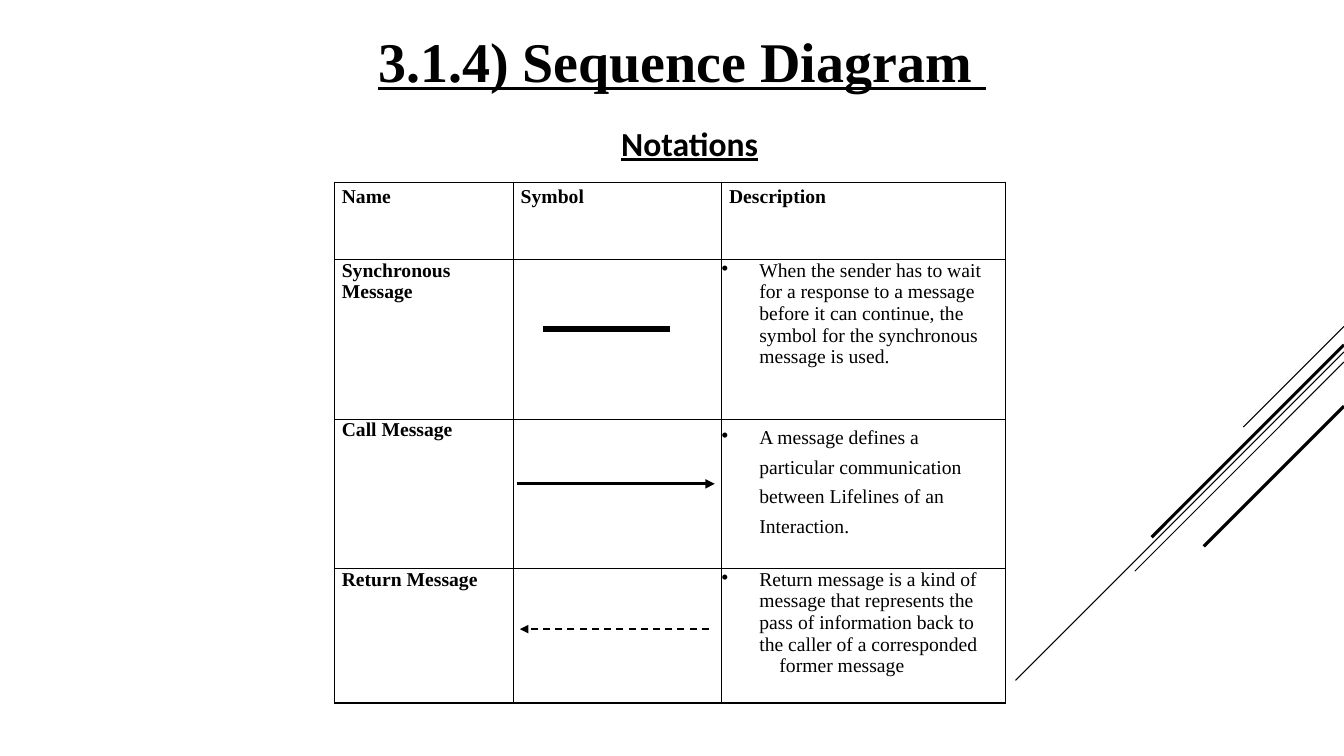
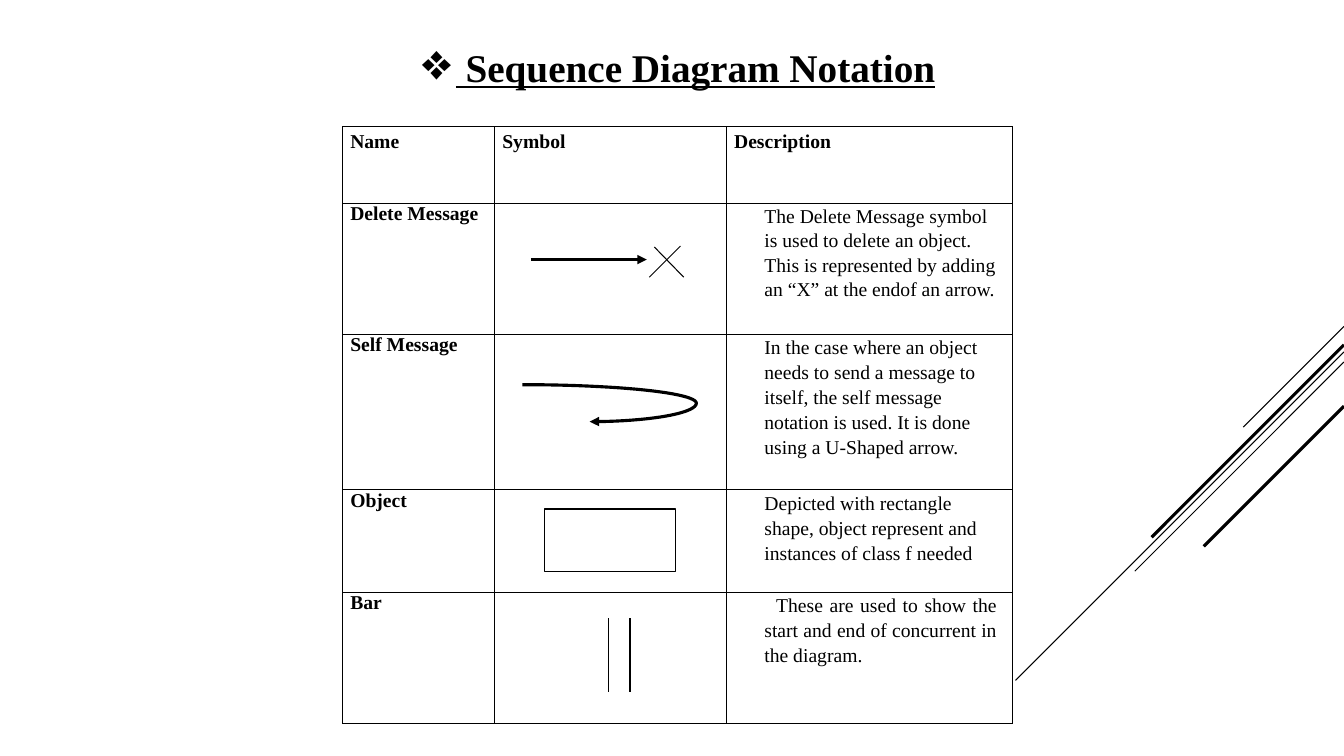
from math import cos, pi, sin
from typing import NamedTuple

from lxml import etree
from pptx import Presentation
from pptx.dml.color import RGBColor
from pptx.enum.dml import MSO_LINE
from pptx.enum.shapes import MSO_CONNECTOR, MSO_SHAPE
from pptx.enum.text import MSO_ANCHOR, MSO_AUTO_SIZE, PP_ALIGN
from pptx.oxml.ns import qn
from pptx.util import Emu, Inches, Pt

STRAIGHT = MSO_CONNECTOR.STRAIGHT
RECTANGLE = MSO_SHAPE.RECTANGLE
DASH = MSO_LINE.DASH
MIDDLE = MSO_ANCHOR.MIDDLE
NO_FIT = MSO_AUTO_SIZE.NONE
CENTER = PP_ALIGN.CENTER
JUSTIFY = PP_ALIGN.JUSTIFY

COLUMNS = 160
SERIF = "Times New Roman"
SANS = "Calibri"
INK = "000000"
HEADERS = ("Name", "Symbol", "Description")


class Passage(NamedTuple):
    """One paragraph of a description cell, with indents in grid columns."""

    text: str
    spacing: object = None
    bullet: str = ""
    left: float = 4.5
    first: float = 0
    align: object = None


def color(value):
    """Turn a hex string into a colour."""
    return RGBColor.from_string(value)


class Deck:
    """Holds the style, the grid and the current slide."""

    def __init__(self):
        """Start a wide presentation with a square-celled grid."""
        self.presentation = Presentation()
        self.presentation.slide_width = Inches(40 / 3)
        self.presentation.slide_height = Inches(7.5)
        self.cell_size = self.presentation.slide_width / COLUMNS
        self.layout = self.presentation.slide_layouts[5]
        self.slide = None

    def grid(self, *lengths):
        """Turn grid units into slide lengths."""
        return [Emu(round(length * self.cell_size)) for length in lengths]

    def add_slide(self):
        """Open a new slide."""
        self.slide = self.presentation.slides.add_slide(self.layout)

    def decorate_layout(self, diagonals):
        """Put diagonal lines from the right edge on the shared layout."""
        for top, reach, width in diagonals:
            connector = self.line((COLUMNS, top), (COLUMNS - reach, top + reach), width)
            self.layout.shapes.element.append(connector.element)

    def format_runs(self, paragraph, size, bold=False, underline=False, font=SERIF):
        """Apply one character style to a paragraph."""
        for run in paragraph.runs:
            run.font.name = font
            run.font.size = Pt(size)
            run.font.bold = bold
            run.font.underline = underline
            run.font.color.rgb = color(INK)

    def indent(self, paragraph, left, first, bullet="", percent=100):
        """Set the indents and the optional bullet of a paragraph."""
        properties = paragraph._p.get_or_add_pPr()
        margin, offset = self.grid(left, first)
        properties.set("marL", str(margin))
        properties.set("indent", str(offset))
        if bullet:
            etree.SubElement(properties, qn("a:buSzPct"), val=str(percent * 1000))
            etree.SubElement(properties, qn("a:buChar"), char=bullet)

    def title(self, text, box, size, bullet=""):
        """Fill the title placeholder."""
        shape = self.slide.shapes.title
        shape.left, shape.top, shape.width, shape.height = self.grid(*box)
        frame = shape.text_frame
        frame.text = text
        frame.word_wrap = True
        frame.auto_size = NO_FIT
        frame.vertical_anchor = MIDDLE
        paragraph = frame.paragraphs[0]
        paragraph.alignment = CENTER
        if bullet:
            self.indent(paragraph, 4, -4, bullet, 130)
        self.format_runs(paragraph, size, True, True)

    def subtitle(self, text, box):
        """Add a centred heading below the title."""
        frame = self.slide.shapes.add_textbox(*self.grid(*box)).text_frame
        frame.word_wrap = True
        frame.text = text
        frame.paragraphs[0].alignment = CENTER
        self.format_runs(frame.paragraphs[0], 24, True, True, SANS)

    def border(self, cell):
        """Draw all four borders of a table cell."""
        properties = cell._tc.get_or_add_tcPr()
        for index, side in enumerate(("lnL", "lnR", "lnT", "lnB")):
            edge = etree.Element(qn(f"a:{side}"), w=str(Pt(1)))
            fill = etree.SubElement(edge, qn("a:solidFill"))
            etree.SubElement(fill, qn("a:srgbClr"), val=INK)
            properties.insert(index, edge)

    def label(self, cell, text, spacing=None):
        """Write a bold label in a table cell."""
        cell.margin_left = self.grid(0.9)[0]
        cell.text_frame.text = text
        paragraph = cell.text_frame.paragraphs[0]
        paragraph.line_spacing = spacing
        self.format_runs(paragraph, 14, True)

    def description(self, cell, passages):
        """Write indented passages in a table cell."""
        cell.margin_right = self.grid(1.8)[0]
        frame = cell.text_frame
        frame.text = "\n".join(passage.text for passage in passages)
        for paragraph, passage in zip(frame.paragraphs, passages):
            paragraph.line_spacing = passage.spacing
            paragraph.alignment = passage.align
            self.indent(paragraph, passage.left, passage.first, passage.bullet)
            self.format_runs(paragraph, 14)

    def notation_table(self, corner, widths, heights, rows):
        """Add a table of names, empty symbol cells and descriptions."""
        box = self.grid(*corner, sum(widths), sum(heights))
        table = self.slide.shapes.add_table(len(heights), len(widths), *box).table
        table.first_row = table.horz_banding = False
        for column, width in zip(table.columns, self.grid(*widths)):
            column.width = width
        for row, height in zip(table.rows, self.grid(*heights)):
            row.height = height
        for cell in table.iter_cells():
            cell.margin_left = cell.margin_right = 0
            cell.margin_top = cell.margin_bottom = 0
            cell.fill.background()
            self.border(cell)
        for index, header in enumerate(HEADERS):
            self.label(table.cell(0, index), header, Pt(18.2))
        for index, (name, *passages) in enumerate(rows, 1):
            self.label(table.cell(index, 0), name)
            self.description(table.cell(index, 2), passages)

    def stroke(self, shape, width, head=""):
        """Style an outline, with an arrowhead of the given size if any."""
        shape.line.color.rgb = color(INK)
        shape.line.width = Pt(width)
        if head:
            outline = shape.element.spPr.find(qn("a:ln"))
            etree.SubElement(outline, qn("a:tailEnd"), type="triangle", w=head, len=head)

    def line(self, start, end, width=0.75, head="", dash=None):
        """Add a straight line or arrow."""
        connector = self.slide.shapes.add_connector(STRAIGHT, *self.grid(*start, *end))
        if dash:
            connector.line.dash_style = dash
        self.stroke(connector, width, head)
        etree.SubElement(connector.element.spPr, qn("a:effectLst"))
        return connector

    def outline_box(self, box):
        """Add an unfilled rectangle."""
        shape = self.slide.shapes.add_shape(RECTANGLE, *self.grid(*box))
        shape.shadow.inherit = False
        shape.fill.background()
        self.stroke(shape, 0.75)

    def u_arrow(self, start, end, right, steps=24):
        """Add an arrow that turns back along two quarter ellipses."""
        middle = (start[1] + end[1]) / 2
        radius = (end[1] - start[1]) / 2
        points = []
        for step in range(2 * steps + 1):
            angle = pi / 2 * (step / steps - 1)
            origin = start[0] if step <= steps else end[0]
            x = origin + (right - origin) * cos(angle)
            points.append(self.grid(x, middle + radius * sin(angle)))
        builder = self.slide.shapes.build_freeform(*points[0])
        builder.add_line_segments(points[1:], close=False)
        shape = builder.convert_to_shape()
        shape.shadow.inherit = False
        shape.fill.background()
        self.stroke(shape, 2.25, "med")


def message_slide(deck):
    """Build the slide of basic message notations."""
    deck.add_slide()
    deck.decorate_layout([
        (38.85, 12, 0.75), (41.9, 39.1, 0.75), (43.1, 24.9, 0.75),
        (41.05, 22.9, 2.25), (48.35, 16.7, 2.25),
    ])
    deck.title("3.1.4) Sequence Diagram ", (20, 2.5, 122.4, 9.2), 40)
    deck.subtitle("Notations", (67.1, 14, 30, 6))
    bulleted = {"bullet": "•", "first": -4.5}
    deck.notation_table((39.8, 21.7), (21.3, 24.8, 33.8), (9.2, 19, 17.8, 16), [
        ("Synchronous Message", Passage(
            "When the sender has to wait for a response to a message before it can "
            "continue, the symbol for the synchronous message is used.", **bulleted)),
        ("Call Message", Passage(
            "A message defines a particular communication between Lifelines of an "
            "Interaction.", 1.37, **bulleted)),
        ("Return Message", Passage(
            "Return message is a kind of message that represents the pass of "
            "information back to the caller of a corresponded", **bulleted),
         Passage("former message", Pt(15.6), left=6.9)),
    ])
    deck.line((64.7, 39.2), (79.8, 39.2), 4.5)
    deck.line((61.5, 57.6), (85.1, 57.6), 2.25, "med")
    deck.line((84.4, 74.9), (61.9, 74.9), 1.25, "med", DASH)


def notation_slide(deck):
    """Build the slide of further notations."""
    deck.add_slide()
    deck.title(" Sequence Diagram Notation", (30.7, 4.6, 100.2, 6.8), 28, "❖")
    deck.notation_table((40.8, 15.1), (18.1, 27.6, 34), (9.1, 15.6, 18.5, 12.2, 15.6), [
        ("Delete Message", Passage(
            "The Delete Message symbol is used to delete an object. This is represented "
            "by adding an “X” at the endof an arrow.", 1.13)),
        ("Self Message", Passage(
            "In the case where an object needs to send a message to itself, the self "
            "message notation is used. It is done using a U-Shaped arrow.", 1.15)),
        ("Object", Passage(
            "Depicted with rectangle shape, object represent and instances of class f "
            "needed", 1.15)),
        ("Bar", Passage(
            "These are used to show the start and end of concurrent in the diagram.",
            1.15, first=1.4, align=JUSTIFY)),
    ])
    deck.line((63.2, 30.9), (77, 30.9), 2.25, "med")
    deck.line((81, 29.3), (77.3, 33))
    deck.line((77.9, 29.4), (81.4, 33))
    deck.u_arrow((62.2, 45.8), (70.2, 50.2), 82.9)
    deck.outline_box((64.8, 60.6, 15.6, 7.4))
    for x in (72.5, 75):
        deck.line((x, 73.6), (x, 82.4))


def main():
    """Build and save the presentation."""
    deck = Deck()
    message_slide(deck)
    notation_slide(deck)
    deck.presentation.save("out.pptx")


if __name__ == "__main__":
    main()
